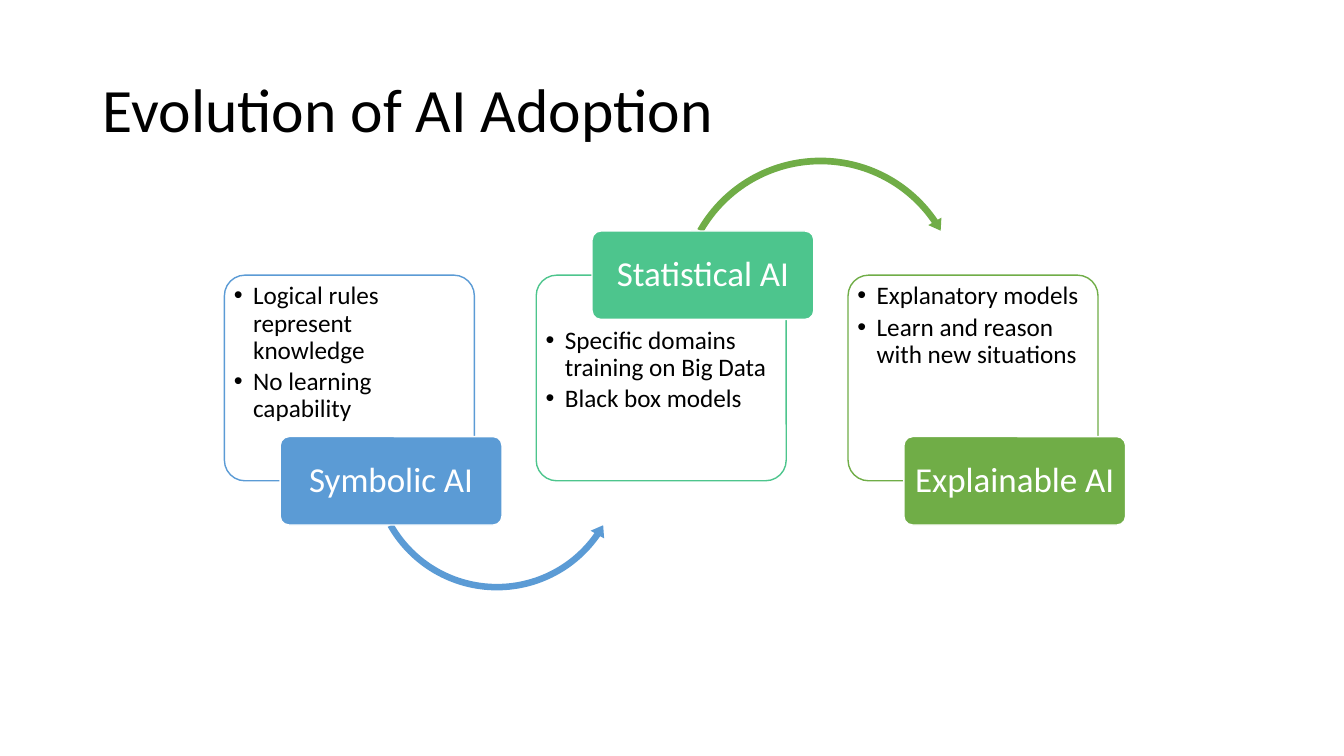
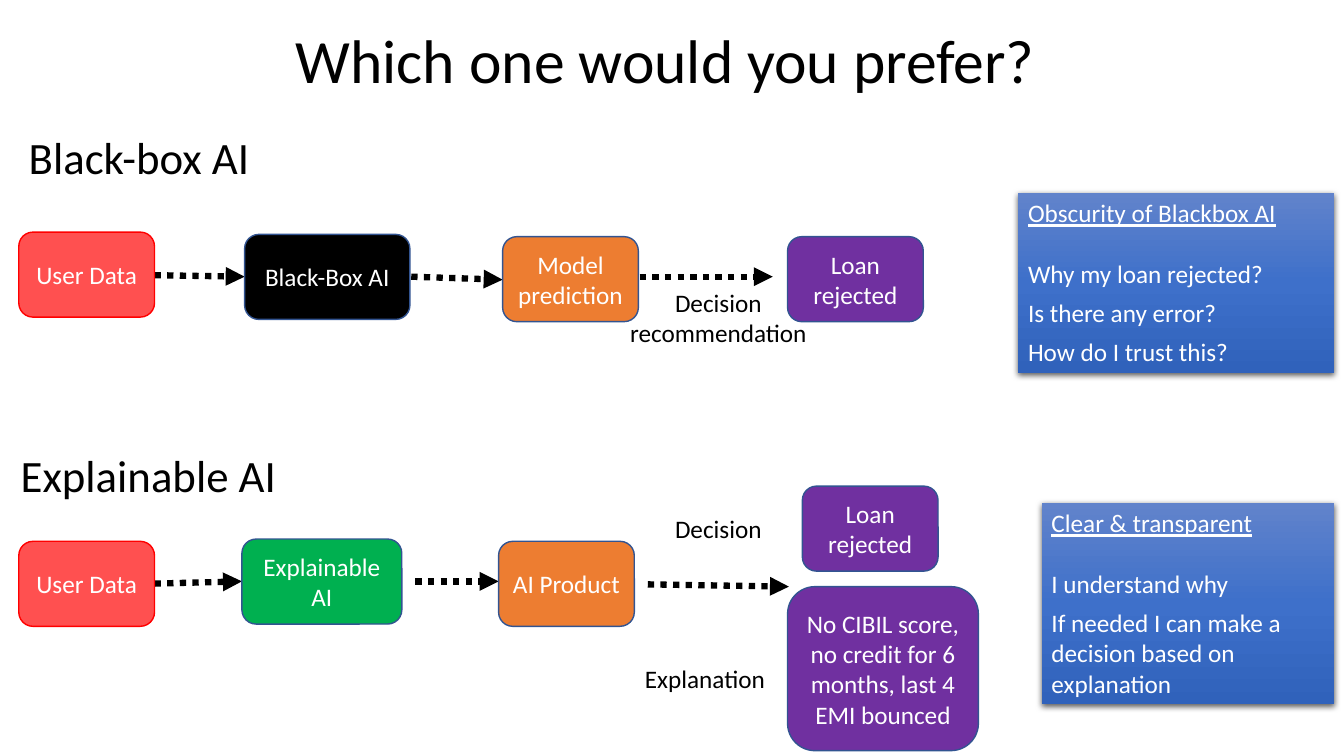
from copy import deepcopy
from dataclasses import dataclass

from lxml import etree
from pptx import Presentation
from pptx.dml.color import RGBColor
from pptx.enum.dml import MSO_LINE
from pptx.enum.shapes import MSO_CONNECTOR, MSO_SHAPE
from pptx.enum.text import MSO_ANCHOR, MSO_AUTO_SIZE, PP_ALIGN
from pptx.oxml.ns import qn
from pptx.util import Inches, Pt

RECT, ROUND_RECT = MSO_SHAPE.RECTANGLE, MSO_SHAPE.ROUNDED_RECTANGLE
ARC_UNDER, ARC_OVER = MSO_SHAPE.LEFT_CIRCULAR_ARROW, MSO_SHAPE.CIRCULAR_ARROW
LEFT, CENTER = PP_ALIGN.LEFT, PP_ALIGN.CENTER
TOP, MIDDLE = MSO_ANCHOR.TOP, MSO_ANCHOR.MIDDLE
STRAIGHT, DOTTED = MSO_CONNECTOR.STRAIGHT, MSO_LINE.ROUND_DOT
FIXED_SIZE = MSO_AUTO_SIZE.NONE
COMPARISON, TITLE_ONLY = 4, 5


@dataclass(frozen=True)
class Theme:
    font: str = "Calibri"
    title_size: int = 44
    heading_size: int = 32
    label_size: int = 25
    body_size: int = 18
    black: str = "000000"
    white: str = "FFFFFF"
    blue: str = "5B9BD5"
    teal: str = "4DC58D"
    leaf: str = "70AD47"
    red: str = "FF5050"
    red_edge: str = "FF0000"
    orange: str = "ED7D31"
    green: str = "00B050"
    purple: str = "7030A0"
    edge: str = "325491"
    panel: tuple = ((0, "6183CB"), (0.5, "3E70CA"), (1, "3062BB"))


THEME = Theme()


def rgb(value):
    return RGBColor.from_string(value)


class Deck:
    """Style and current page; all lengths are percentages of the slide's size."""

    def __init__(self, show):
        self.show = show
        self.show.slide_width, self.show.slide_height = Inches(13.33), Inches(7.5)
        self.page = None
        self.free_bodies = []

    def across(self, share):
        return round(self.show.slide_width * share / 100)

    def down(self, share):
        return round(self.show.slide_height * share / 100)

    def area(self, left, top, width, height):
        return self.across(left), self.down(top), self.across(width), self.down(height)

    def place(self, shape, box):
        shape.left, shape.top, shape.width, shape.height = self.area(*box)

    def new_page(self, layout, title, left, top, align):
        self.page = self.show.slides.add_slide(self.show.slide_layouts[layout])
        heading = self.page.shapes.title
        self.place(heading, (left, top, 86.25, 19.3))
        self.set_text(heading, [title], THEME.title_size, THEME.black, align, spacing=0.9)
        self.free_bodies = [holder for holder in self.page.placeholders
                            if holder.placeholder_format.idx in (1, 2, 3, 4)]

    def drop_free_bodies(self):
        for holder in self.free_bodies:
            holder.element.getparent().remove(holder.element)
        self.free_bodies = []

    def set_text(self, shape, lines, size, color, align=CENTER, anchor=MIDDLE,
                 spacing=1, after=0, inset=None, bulleted=False):
        frame = shape.text_frame
        frame.word_wrap, frame.auto_size = True, FIXED_SIZE
        frame.vertical_anchor = anchor
        if inset is not None:
            frame.margin_left = frame.margin_right = Inches(inset)
            frame.margin_top = frame.margin_bottom = Inches(inset)
        frame.text = "\n".join(lines)
        for para in frame.paragraphs:
            para.alignment, para.line_spacing = align, spacing
            para.space_before, para.space_after = Pt(0), Pt(after)
            if bulleted:
                self.add_bullet(para)
            para.font.name, para.font.size = THEME.font, Pt(size)
            para.font.bold, para.font.color.rgb = False, rgb(color)
        return frame.paragraphs

    @staticmethod
    def add_bullet(para):
        props = para._p.get_or_add_pPr()
        indent = Inches(0.19)
        props.set("marL", str(indent))
        props.set("indent", str(-indent))
        etree.SubElement(props, qn("a:buFont")).set("typeface", "Arial")
        etree.SubElement(props, qn("a:buChar")).set("char", "•")

    def bullets(self, box, lines):
        holder = self.free_bodies.pop(0)
        self.place(holder, box)
        self.set_text(holder, lines, THEME.body_size, THEME.black, LEFT, TOP,
                      spacing=0.9, after=3, inset=0.04, bulleted=True)

    def shape(self, kind, box, fill=None, edge=None, adjust=()):
        item = self.page.shapes.add_shape(kind, *self.area(*box))
        item.shadow.inherit = False
        for index, value in enumerate(adjust):
            item.adjustments[index] = value
        if fill:
            item.fill.solid()
            item.fill.fore_color.rgb = rgb(fill)
        else:
            item.fill.background()
        if edge:
            item.line.color.rgb, item.line.width = rgb(edge), Pt(1)
        else:
            item.line.fill.background()
        return item

    def label(self, box, text, fill):
        item = self.shape(ROUND_RECT, box, fill, THEME.white, [0.1])
        self.set_text(item, [text], THEME.label_size, THEME.white, spacing=0.9, inset=0.05)

    def step(self, text, fill, left, top, width=10.1, height=11.25, edge=THEME.edge):
        item = self.shape(ROUND_RECT, (left, top, width, height), fill, edge)
        self.set_text(item, [text], THEME.body_size, THEME.white)

    def text(self, box, lines, size=THEME.body_size, align=CENTER):
        item = self.page.shapes.add_textbox(*self.area(*box))
        self.set_text(item, lines, size, THEME.black, align, TOP)

    def panel(self, box, heading, lines):
        """Gradient box with a soft shadow and an underlined heading."""
        item = self.shape(RECT, box)
        item.fill.gradient()
        item.fill.gradient_angle = 270
        props = item.element.spPr
        stops = props.find(".//" + qn("a:gsLst"))
        stops.insert(1, deepcopy(stops[0]))
        for stop, (position, color) in zip(item.fill.gradient_stops, THEME.panel):
            stop.position, stop.color.rgb = position, rgb(color)
        shadow = etree.SubElement(props.find(qn("a:effectLst")), qn("a:outerShdw"),
                                  blurRad=str(Pt(4.5)), dist=str(Pt(1.5)), dir="5400000")
        tint = etree.SubElement(shadow, qn("a:srgbClr"), val=THEME.black)
        etree.SubElement(tint, qn("a:alpha"), val="63000")
        paras = self.set_text(item, [heading, *lines], THEME.body_size, THEME.white,
                              LEFT, TOP, after=6)
        paras[0].font.underline = True
        paras[0].space_after = Pt(22)

    def arrow(self, x1, y1, x2, y2):
        connector = self.page.shapes.add_connector(
            STRAIGHT, self.across(x1), self.down(y1), self.across(x2), self.down(y2))
        connector.line.color.rgb, connector.line.width = rgb(THEME.black), Pt(4.5)
        connector.line.dash_style = DOTTED
        props = connector.element.spPr
        etree.SubElement(props.find(qn("a:ln")), qn("a:tailEnd"), type="triangle")
        etree.SubElement(props, qn("a:effectLst"))


def build_evolution(deck):
    deck.new_page(COMPARISON, "Evolution of AI Adoption", 6.9, 5.3, LEFT)
    card_top, card_width, card_height = 36.4, 18.6, 27.2
    label_width, label_height = 16.5, 11.7
    under = (ARC_UNDER, (27.3, 44.3, 19.35, 34.4), THEME.blue,
             (0.025, 3.094, 20.849, 90.245, 0.03))
    over = (ARC_OVER, (50.2, 20.3, 21.7, 38.5), THEME.leaf,
            (0.023, 2.738, 195.507, 125.755, 0.026))
    stages = [
        ("Symbolic AI", THEME.blue, False, under,
         ["Logical rules represent knowledge", "No learning capability"]),
        ("Statistical AI", THEME.teal, True, over,
         ["Specific domains training on Big Data", "Black box models"]),
        ("Explainable AI", THEME.leaf, False, None,
         ["Explanatory models", "Learn and reason with new situations"]),
    ]
    for index, (name, color, label_on_top, arc, points) in enumerate(stages):
        left = 16.7 + 23.2 * index
        label_top = card_top - label_height / 2 + (0 if label_on_top else card_height)
        text_top = card_top + 0.5 + (label_height / 2 if label_on_top else 0)
        deck.shape(ROUND_RECT, (left, card_top, card_width, card_height),
                   edge=color, adjust=[0.1])
        deck.bullets((left + 0.4, text_top, 17.8, 20.1), points)
        if arc:
            kind, box, arc_color, adjust = arc
            deck.shape(kind, box, arc_color, adjust=adjust)
        deck.label((left + 4.15, label_top, label_width, label_height), name, color)
    deck.drop_free_bodies()


def build_comparison(deck):
    deck.new_page(TITLE_ONLY, "Which one would you prefer?", 6.4, -1.2, CENTER)

    for heading, left, top in [("Black-box AI", 1.4, 16.5), ("Explainable AI", 0.8, 58.5)]:
        deck.text((left, top, 33.2, 8.5), [heading], THEME.heading_size, LEFT)

    deck.panel((75.75, 25.5, 23.5, 23.8), "Obscurity of Blackbox AI",
               ["Why my loan rejected?", "Is there any error?", "How do I trust this?"])
    deck.panel((77.5, 66.5, 21.75, 26.7), "Clear & transparent",
               ["I understand why", "If needed I can make a decision based on explanation"])

    for ends in [(11.5, 36.4, 18.2, 36.6), (30.6, 36.6, 37.4, 37), (47.6, 36.6, 57.5, 36.6),
                 (11.5, 77.2, 18, 76.9), (30.9, 76.9, 37.1, 76.9), (48.2, 77.3, 58.7, 77.6)]:
        deck.arrow(*ends)

    for top in (30.7, 71.6):
        deck.step("User Data", THEME.red, 1.4, top, edge=THEME.red_edge)
    deck.step("Black-Box AI", THEME.black, 18.2, 31, width=12.3)
    deck.step("Model prediction", THEME.orange, 37.4, 31.3)
    deck.step("Explainable AI", THEME.green, 18, 71.3, width=11.9)
    deck.step("AI Product", THEME.orange, 37.1, 71.6)
    for left, top in [(58.6, 31.3), (59.7, 64.3)]:
        deck.step("Loan rejected", THEME.purple, left, top)
    deck.step("No CIBIL score, no credit for 6 months, last 4 EMI bounced",
              THEME.purple, 58.6, 77.6, width=14.2, height=21.7)

    for lines, left, top in [(["Decision", "recommendation"], 42.2, 37.3),
                             (["Decision"], 42.2, 67.2), (["Explanation"], 41.2, 87.1)]:
        deck.text((left, top, 22.5, 5.3 * len(lines)), lines)


def main():
    show = Presentation()
    deck = Deck(show)
    build_evolution(deck)
    build_comparison(deck)
    show.save("out.pptx")


if __name__ == "__main__":
    main()
